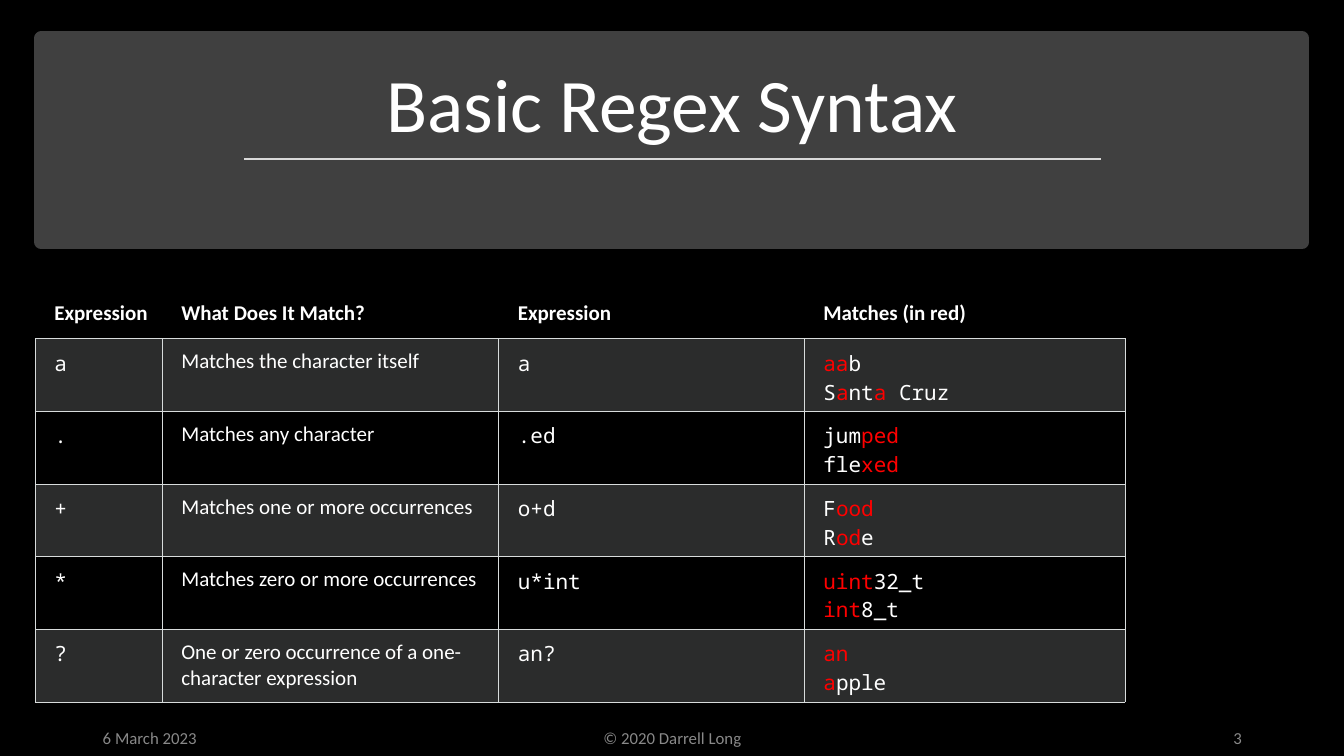
from lxml import etree
from pptx import Presentation
from pptx.dml.color import RGBColor
from pptx.enum.shapes import MSO_CONNECTOR, MSO_SHAPE
from pptx.enum.text import MSO_ANCHOR, MSO_AUTO_SIZE, PP_ALIGN
from pptx.oxml.ns import qn
from pptx.util import Cm, Pt

LEFT, CENTER, RIGHT = PP_ALIGN.LEFT, PP_ALIGN.CENTER, PP_ALIGN.RIGHT
MIDDLE, BOTTOM, TOP = MSO_ANCHOR.MIDDLE, MSO_ANCHOR.BOTTOM, MSO_ANCHOR.TOP
RECTANGLE, STRAIGHT = MSO_SHAPE.RECTANGLE, MSO_CONNECTOR.STRAIGHT
NO_AUTOFIT = MSO_AUTO_SIZE.NONE

# Content: text between bars is a match and shows in red
TITLE = "Basic Regex Syntax"
HEADERS = ["Expression", "What Does It Match?", "Expression", "Matches (in red)"]
ROWS = [
    ("a", "Matches the character itself", "a", ["|aa|b", "S|a|nt|a| Cruz"]),
    (".", "Matches any character", ".ed", ["jum|ped|", "fle|xed|"]),
    ("+", "Matches one or more occurrences", "o+d", ["F|ood|", "R|od|e"]),
    ("*", "Matches zero or more occurrences", "u*int", ["|uint|32_t", "|int|8_t"]),
    ("?", "One or zero occurrence of a one-character expression", "an?",
     ["|an|", "|a|pple"]),
]
FOOTERS = [  # text, left, width, alignment
    ("6 March 2023", 2.34, 7.62, LEFT),
    ("© 2020 Darrell Long", 11.23, 11.43, CENTER),
    ("3", 23.93, 7.62, RIGHT),
]

# Look
COLORS = {"background": "000000", "band": "404040", "rule": "D9D9D9",
          "text": "FFFFFF", "match": "FF0000", "footer": "898989",
          "border": "D8DCDC", "stripe": "D8DEDC"}
BODY_FONT, CODE_FONT = "Calibri", "Noto Sans Mono"
COLUMN_WIDTHS = [3.2, 8.48, 7.7, 8.08]
COLUMN_FONTS = [CODE_FONT, BODY_FONT, CODE_FONT, CODE_FONT]
HEADER_HEIGHT, ROW_HEIGHT = 1.22, 1.83


def color(name):
    return RGBColor.from_string(COLORS[name])


def write(frame, lines, size=15, font=BODY_FONT, tint="text", bold=False,
          align=LEFT, anchor=TOP, line_spacing=None, space_after=None):
    frame.word_wrap = True
    frame.vertical_anchor = anchor
    for index, line in enumerate(lines):
        paragraph = frame.add_paragraph() if index else frame.paragraphs[0]
        paragraph.alignment = align
        paragraph.line_spacing = line_spacing
        paragraph.space_after = space_after
        for part_index, part in enumerate(line.split("|")):
            if part:
                run = paragraph.add_run()
                run.text = part
                run.font.size = Pt(size)
                run.font.name = font
                run.font.bold = bold
                run.font.color.rgb = color("match" if part_index % 2 else tint)


def set_borders(cell, sides):
    properties = cell._tc.get_or_add_tcPr()
    for side in "LRTB":
        line = etree.SubElement(properties, qn(f"a:ln{side}"), w=str(Pt(0.75)))
        if side in sides:
            fill = etree.SubElement(line, qn("a:solidFill"))
            etree.SubElement(fill, qn("a:srgbClr"), val=COLORS["border"])
        else:
            etree.SubElement(line, qn("a:noFill"))


def fill_cell(cell, striped):
    if not striped:
        cell.fill.background()
        return
    cell.fill.solid()
    cell.fill.fore_color.rgb = color("stripe")
    tone = cell._tc.tcPr.find(f".//{qn('a:solidFill')}[last()]")
    tone = cell._tc.tcPr.find(qn("a:solidFill")).find(qn("a:srgbClr"))
    etree.SubElement(tone, qn("a:alpha"), val="20000")


def add_title(slide):
    # Band, sent behind the title
    band = slide.shapes.add_shape(RECTANGLE, Cm(1.04), Cm(0.97), Cm(31.78), Cm(5.13))
    band.shadow.inherit = False
    band.fill.solid()
    band.fill.fore_color.rgb = color("band")
    band.line.color.rgb = color("band")
    band.line.width = Pt(10)
    slide.shapes._spTree.insert(2, band._element)

    title = slide.shapes.title
    title.left, title.top, title.width, title.height = Cm(1.47), Cm(1.3), Cm(30.94), Cm(2.59)
    title.text_frame.auto_size = NO_AUTOFIT
    write(title.text_frame, [TITLE], size=54, align=CENTER, anchor=BOTTOM, line_spacing=0.9)

    # Rule under the title
    rule = slide.shapes.add_connector(STRAIGHT, Cm(6.15), Cm(4.01), Cm(27.74), Cm(4.01))
    rule.line.color.rgb = color("rule")
    rule.line.width = Pt(1.75)
    etree.SubElement(rule._element.spPr, qn("a:effectLst"))


def add_footers(slide):
    for text, left, width, align in FOOTERS:
        box = slide.shapes.add_textbox(Cm(left), Cm(18.11), Cm(width), Cm(0.97))
        write(box.text_frame, [text], size=12, tint="footer", align=align,
              anchor=MIDDLE, space_after=Pt(6))


def add_syntax_table(slide):
    height = HEADER_HEIGHT + ROW_HEIGHT * len(ROWS)
    table = slide.shapes.add_table(len(ROWS) + 1, len(HEADERS), Cm(0.89), Cm(7.32),
                                   Cm(sum(COLUMN_WIDTHS)), Cm(height)).table
    table.horz_banding = False
    for column, width in zip(table.columns, COLUMN_WIDTHS):
        column.width = Cm(width)

    for row_index, values in enumerate([HEADERS, *ROWS]):
        is_header = row_index == 0
        table.rows[row_index].height = Cm(HEADER_HEIGHT if is_header else ROW_HEIGHT)
        for column_index, value in enumerate(values):
            cell = table.cell(row_index, column_index)
            cell.margin_left = Cm(0.48)
            cell.margin_right = cell.margin_top = cell.margin_bottom = Cm(0.25)
            set_borders(cell, "B" if is_header else "LRTB")
            fill_cell(cell, striped=row_index % 2 == 1)
            write(cell.text_frame, [value] if isinstance(value, str) else value,
                  font=BODY_FONT if is_header else COLUMN_FONTS[column_index],
                  bold=is_header)


def main():
    presentation = Presentation()
    presentation.slide_width, presentation.slide_height = Cm(33.87), Cm(19.05)
    slide = presentation.slides.add_slide(presentation.slide_layouts[5])
    slide.background.fill.solid()
    slide.background.fill.fore_color.rgb = color("background")
    add_title(slide)
    add_footers(slide)
    add_syntax_table(slide)
    presentation.save("out.pptx")


if __name__ == "__main__":
    main()
